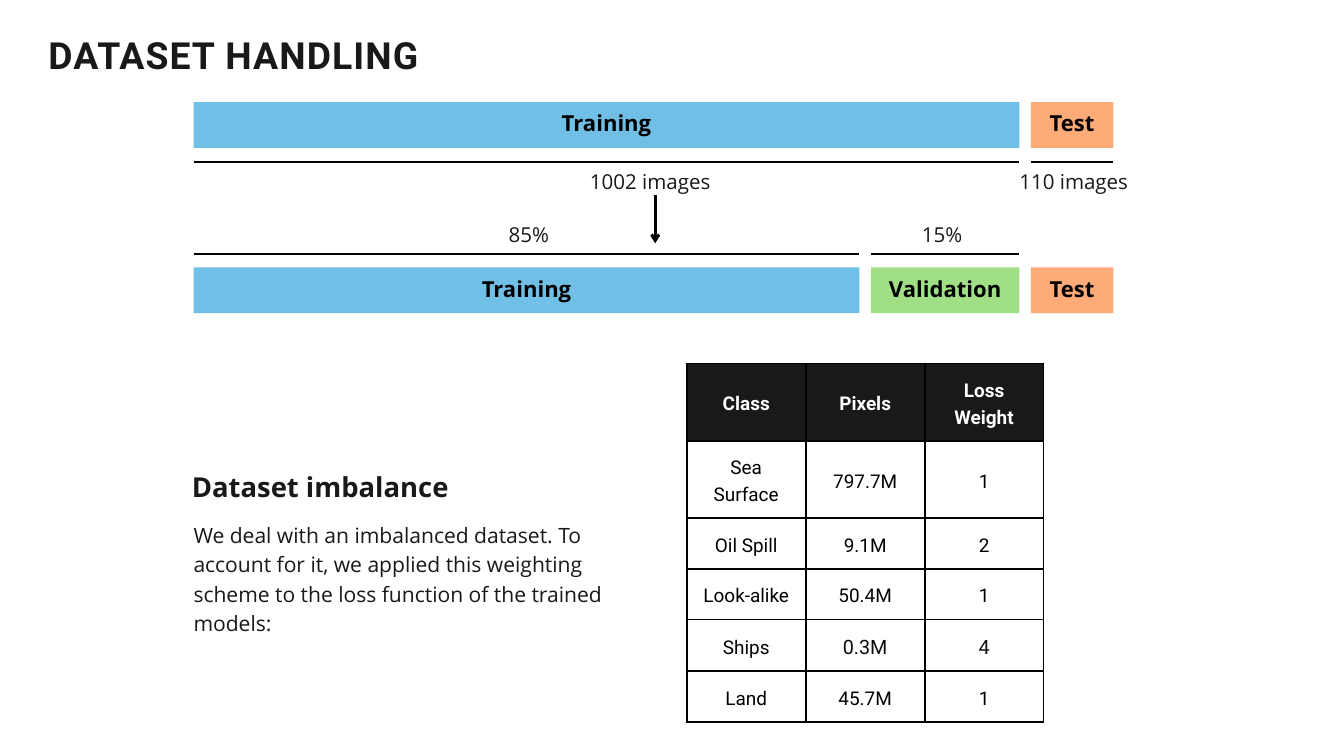
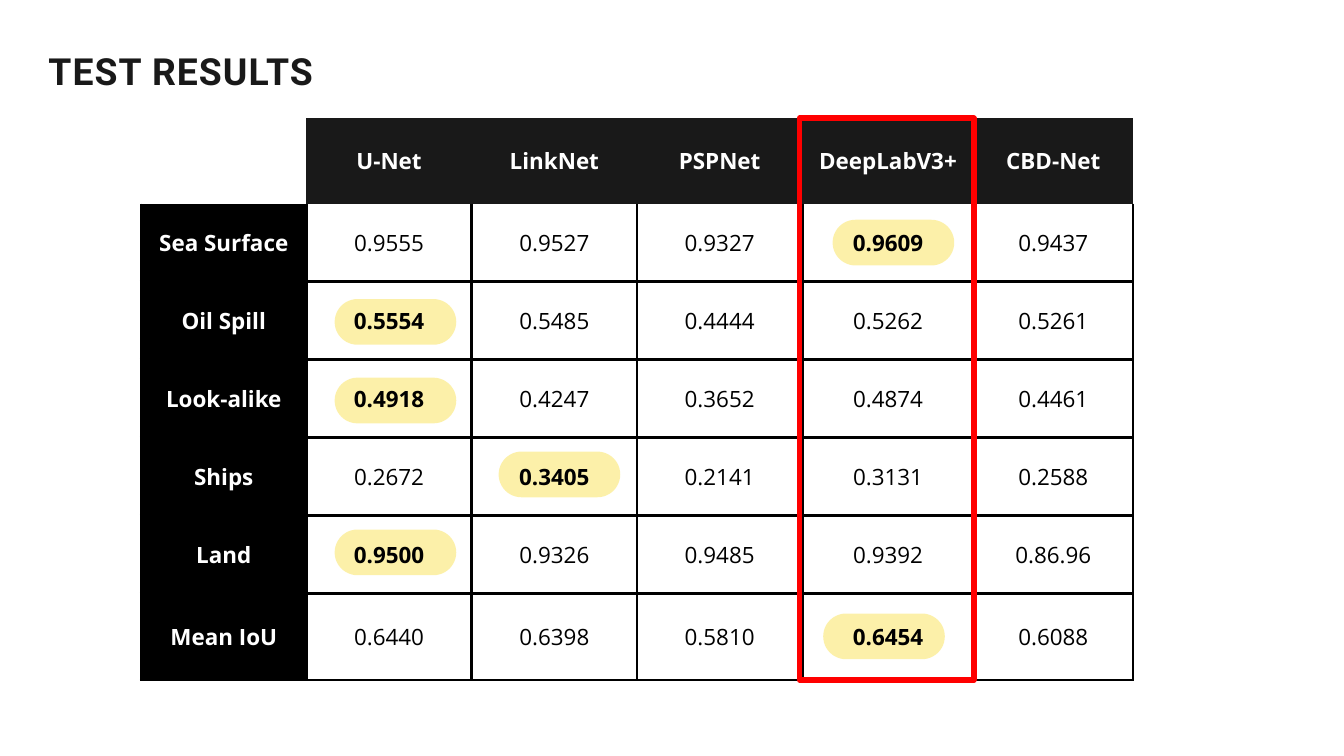
"""Build two slides on dataset handling and test results."""
from dataclasses import dataclass

from lxml import etree
from pptx import Presentation
from pptx.dml.color import RGBColor
from pptx.enum.shapes import MSO_CONNECTOR, MSO_SHAPE
from pptx.enum.text import MSO_ANCHOR, PP_ALIGN
from pptx.oxml.ns import qn
from pptx.util import Inches, Pt

LEFT, CENTER = PP_ALIGN.LEFT, PP_ALIGN.CENTER
MIDDLE = MSO_ANCHOR.MIDDLE
RECT, PILL = MSO_SHAPE.RECTANGLE, MSO_SHAPE.ROUNDED_RECTANGLE
LINE = MSO_CONNECTOR.STRAIGHT


@dataclass(frozen=True)
class Theme:
    ink: str = "191919"
    soft: str = "0E0E0E"
    black: str = "000000"
    white: str = "FFFFFF"
    blue: str = "6FBFE6"
    green: str = "A0DF85"
    peach: str = "FFAB77"
    gold: str = "FAE355"
    red: str = "FF0000"
    head: str = "Roboto"
    body: str = "Open Sans"
    title: float = 40
    lead: float = 29.4
    results: float = 24
    bar: float = 23.6
    text: float = 22.6
    note: float = 22
    odd: float = 21.2
    classes: float = 20.3
    rule: float = 3


T = Theme()

START, GAP, BAR_H = 2.88, 0.17, 0.68
TEST = ("Test", 1.23, T.peach)
SPLITS = [
    {"top": 1.52, "rule": 2.41, "ruled": 2,
     "bars": [("Training", 12.29, T.blue), TEST]},
    {"top": 3.98, "rule": 3.78, "ruled": 2,
     "bars": [("Training", 9.91, T.blue), ("Validation", 2.21, T.green), TEST]},
]
NOTES = [
    ("1002 images", 8.78, 2.45, 1.9),
    ("110 images", 15.17, 2.45, 1.63),
    ("85%", 7.57, 3.24, 0.71),
    ("15%", 13.72, 3.24, 0.71),
]
ABOUT = ("We deal with an imbalanced dataset. To account for it, we applied this "
         "weighting scheme to the loss function of the trained models:")
CLASSES = [
    ("Class", "Pixels", "Loss Weight"),
    ("Sea Surface", "797.7M", "1"),
    ("Oil Spill", "9.1M", "2"),
    ("Look-alike", "50.4M", "1"),
    ("Ships", "0.3M", "4"),
    ("Land", "45.7M", "1"),
]
ODD = {(4, 1), (4, 2)}
RESULTS = [
    ("", "U-Net", "LinkNet", "PSPNet", "DeepLabV3+", "CBD-Net"),
    ("Sea Surface", "0.9555", "0.9527", "0.9327", "0.9609", "0.9437"),
    ("Oil Spill", "0.5554", "0.5485", "0.4444", "0.5262", "0.5261"),
    ("Look-alike", "0.4918", "0.4247", "0.3652", "0.4874", "0.4461"),
    ("Ships", "0.2672", "0.3405", "0.2141", "0.3131", "0.2588"),
    ("Land", "0.9500", "0.9326", "0.9485", "0.9392", "0.86.96"),
    ("Mean IoU", "0.6440", "0.6398", "0.5810", "0.6454", "0.6088"),
]
BEST = {
    (1, 4): (12.39, 3.27),
    (2, 1): (4.98, 4.45),
    (3, 1): (4.98, 5.62),
    (4, 2): (7.42, 6.72),
    (5, 1): (4.98, 7.88),
    (6, 4): (12.25, 9.13),
}


def rgb(tone):
    return RGBColor.from_string(tone)


def write(frame, text, *, size, font=T.body, color=T.ink, bold=False,
          align=LEFT, ratio=1.4, track=None):
    frame.word_wrap = True
    para = frame.paragraphs[0]
    para.alignment = align
    para.line_spacing = Pt(round(size * ratio, 1))
    run = para.add_run()
    run.text = text
    run.font.name, run.font.size, run.font.bold = font, Pt(size), bold
    run.font.color.rgb = rgb(color)
    if track:
        run.font._element.set("spc", str(track))


def inset(area, left, top, right, bottom):
    area.margin_left, area.margin_top = Inches(left), Inches(top)
    area.margin_right, area.margin_bottom = Inches(right), Inches(bottom)


def label(slide, text, box, **form):
    frame = slide.shapes.add_textbox(*map(Inches, box)).text_frame
    inset(frame, 0, 0, 0, 0)
    write(frame, text, **form)


def title(slide, text, top):
    label(slide, text, (0.72, top, 9.28, 0.71), size=T.title, font=T.head,
          bold=True, ratio=1.31, track=120)


def block(slide, kind, box, fill=None, line=None, width=0):
    shape = slide.shapes.add_shape(kind, *map(Inches, box))
    shape.shadow.inherit = False
    if fill:
        shape.fill.solid()
        shape.fill.fore_color.rgb = rgb(fill)
    else:
        shape.fill.background()
    if line:
        shape.line.color.rgb = rgb(line)
        shape.line.width = Pt(width)
    else:
        shape.line.fill.background()
    return shape


def rule(slide, *ends, arrow=False):
    line = slide.shapes.add_connector(LINE, *map(Inches, ends))
    line.line.color.rgb = rgb(T.black)
    line.line.width = Pt(T.rule)
    if arrow:
        etree.SubElement(line.line._get_or_add_ln(), qn("a:tailEnd"), type="arrow")
    etree.SubElement(line._element.spPr, qn("a:effectLst"))


def border(cell, width, bare):
    props = cell._tc.get_or_add_tcPr()
    for place, side in enumerate("LRTB"):
        edge = etree.Element(qn(f"a:ln{side}"))
        props.insert(place, edge)
        if side in bare:
            edge.set("w", "0")
            etree.SubElement(edge, qn("a:noFill"))
        else:
            edge.set("w", str(Pt(width)))
            fill = etree.SubElement(edge, qn("a:solidFill"))
            etree.SubElement(fill, qn("a:srgbClr"), val=T.black)


def grid(slide, rows, box, cols, highs, look, *, pad, width):
    frame = slide.shapes.add_table(len(rows), len(cols), *map(Inches, box))
    table = frame.table
    table.first_row = table.horz_banding = False
    for col, size in zip(table.columns, cols):
        col.width = Inches(size)
    for row, size in zip(table.rows, highs):
        row.height = Inches(size)
    frame.height = Inches(box[3])
    for r, row in enumerate(rows):
        for c, text in enumerate(row):
            cell = table.cell(r, c)
            fill, bare, form = look(r, c)
            if fill:
                cell.fill.solid()
                cell.fill.fore_color.rgb = rgb(fill)
            else:
                cell.fill.background()
            border(cell, width, bare)
            inset(cell, pad, pad, pad, pad)
            cell.vertical_anchor = MIDDLE
            if text:
                write(cell.text_frame, text, align=CENTER, **form)


def class_look(r, c):
    form = {"size": T.classes, "font": T.head, "color": T.black}
    if r == 0:
        form.update(color=T.white, bold=True)
    elif (r, c) in ODD:
        form.update(color=T.soft, size=T.odd)
    return T.ink if r == 0 else None, "", form


def result_look(r, c):
    head = r == 0 or c == 0
    form = {"size": T.results, "color": T.white if head else T.black,
            "bold": head or (r, c) in BEST}
    if r == 0:
        return T.ink if c else T.white, "LRTB", form
    return None if c else T.black, "T" if r == 1 else "", form


def handling(slide):
    for split in SPLITS:
        left = START
        for spot, (name, wide, tone) in enumerate(split["bars"]):
            bar = block(slide, RECT, (left, split["top"], wide, BAR_H), tone)
            frame = bar.text_frame
            inset(frame, 0.04, 0.04, 0.04, 0.16)
            frame.vertical_anchor = MIDDLE
            write(frame, name, size=T.bar, color=T.black, bold=True, align=CENTER)
            if spot < split["ruled"]:
                rule(slide, left, split["rule"], left + wide, split["rule"])
            left += wide + GAP
    rule(slide, 9.75, 2.9, 9.75, 3.62, arrow=True)
    for text, left, top, wide in NOTES:
        label(slide, text, (left, top, wide, 0.41), size=T.note)
    grid(slide, CLASSES, (10.22, 5.41, 5.3, 5.1), [1.77] * 3,
         [0.83, 0.69, 0.69, 0.69, 0.71, 0.69], class_look, pad=0.18, width=2.15)
    label(slide, "Dataset imbalance", (2.42, 6.92, 4.69, 0.54),
          size=T.lead, bold=True, align=CENTER)
    label(slide, ABOUT, (START, 7.71, 6.71, 1.73), size=T.text)
    title(slide, "DATASET HANDLING", 0.42)


def results(slide):
    for left, top in BEST.values():
        pill = block(slide, PILL, (left, top, 1.81, BAR_H), T.gold)
        pill.adjustments[0] = 0.5
        tone = pill.fill._xPr.find(qn("a:solidFill"))[0]
        etree.SubElement(tone, qn("a:alpha"), val="50000")
    grid(slide, RESULTS, (2.1, 1.76, 14.74, 8.36), [2.46] * 4 + [2.55, 2.37],
         [1.27] + [1.16] * 5 + [1.29], result_look, pad=0.21, width=T.rule)
    block(slide, RECT, (11.9, 1.76, 2.59, 8.36), line=T.red, width=6)
    title(slide, "TEST RESULTS", 0.66)


def main():
    deck = Presentation()
    deck.slide_width, deck.slide_height = Inches(20), Inches(11.25)
    for build in (handling, results):
        build(deck.slides.add_slide(deck.slide_layouts[6]))
    deck.save("out.pptx")


if __name__ == "__main__":
    main()
